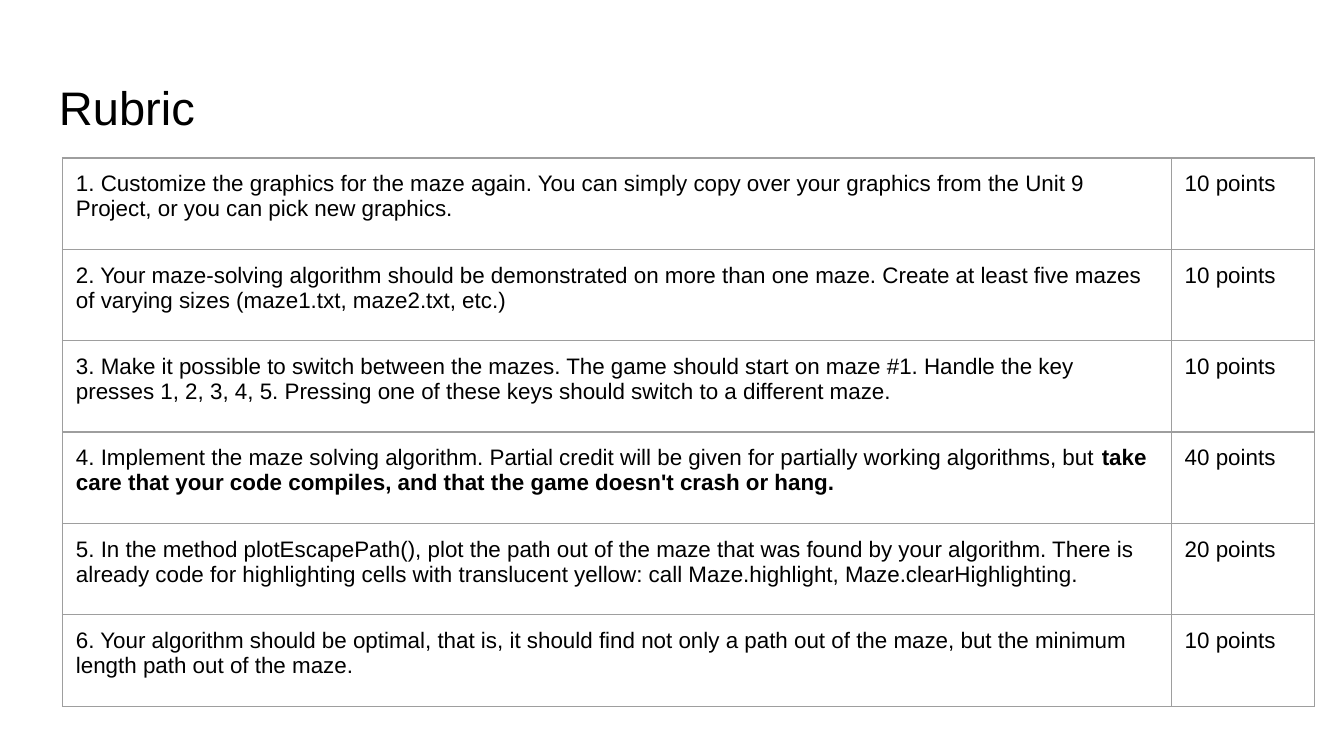
from dataclasses import dataclass

from lxml import etree
from pptx import Presentation
from pptx.dml.color import RGBColor
from pptx.enum.text import MSO_ANCHOR
from pptx.oxml.ns import qn
from pptx.util import Emu, Pt

TOP = MSO_ANCHOR.TOP
PX = 4572  # EMU per px, 200 px to the inch
PAD = 20
FONT = "Arial"
COLORS = {"text": "000000", "grid": "9E9E9E"}
COLS = (1650, 213)
ROW = 136


@dataclass(frozen=True)
class Task:
    text: str
    points: int
    strong: str = ""


TASKS = (
    Task("1. Customize the graphics for the maze again. You can simply copy over "
         "your graphics from the Unit 9 Project, or you can pick new graphics.", 10),
    Task("2. Your maze-solving algorithm should be demonstrated on more than one maze. "
         "Create at least five mazes of varying sizes (maze1.txt, maze2.txt, etc.)", 10),
    Task("3. Make it possible to switch between the mazes. The game should start on "
         "maze #1. Handle the key presses 1, 2, 3, 4, 5. Pressing one of these keys "
         "should switch to a different maze.", 10),
    Task("4. Implement the maze solving algorithm. Partial credit will be given for "
         "partially working algorithms, but ", 40,
         "take care that your code compiles, and that the game doesn't crash or hang."),
    Task("5. In the method plotEscapePath(), plot the path out of the maze that was "
         "found by your algorithm. There is already code for highlighting cells with "
         "translucent yellow: call Maze.highlight, Maze.clearHighlighting.", 20),
    Task("6. Your algorithm should be optimal, that is, it should find not only a path "
         "out of the maze, but the minimum length path out of the maze.", 10),
)


def px(size: int) -> Emu:
    return Emu(size * PX)


def write(para, text: str, *, size: float = 12, bold: bool = False,
          color: str = "text") -> None:
    run = para.add_run()
    run.text = text
    font = run.font
    font.name, font.size, font.bold = FONT, Pt(size), bold
    font.color.rgb = RGBColor.from_string(COLORS[color])


def inset(box) -> None:
    """Give a cell or text frame equal margins on all sides."""
    box.margin_left = box.margin_right = px(PAD)
    box.margin_top = box.margin_bottom = px(PAD)
    box.vertical_anchor = TOP


def frame(cell) -> None:
    """Outline a cell on its four sides, without a fill."""
    props = cell._tc.get_or_add_tcPr()
    for side in ("lnL", "lnR", "lnT", "lnB"):
        line = etree.SubElement(props, qn(f"a:{side}"), w=str(Pt(0.75)))
        fill = etree.SubElement(line, qn("a:solidFill"))
        etree.SubElement(fill, qn("a:srgbClr"), val=COLORS["grid"])
    cell.fill.background()


def add_title(slide, text: str) -> None:
    box = slide.shapes.add_textbox(px(68), px(97), px(1864), px(125)).text_frame
    box.word_wrap = True
    inset(box)
    write(box.paragraphs[0], text, size=25.2)


def add_rubric(slide, tasks: tuple[Task, ...]) -> None:
    table = slide.shapes.add_table(
        len(tasks), len(COLS), px(93), px(235),
        px(sum(COLS)), px(ROW * len(tasks))).table
    table.first_row = table.horz_banding = False
    for col, width in zip(table.columns, COLS):
        col.width = px(width)
    for row, task in zip(table.rows, tasks):
        row.height = px(ROW)
        for cell in row.cells:
            inset(cell)
            frame(cell)
        goal, score = (cell.text_frame.paragraphs[0] for cell in row.cells)
        write(goal, task.text)
        if task.strong:
            write(goal, task.strong, bold=True)
        write(score, f"{task.points} points")


def main() -> None:
    deck = Presentation()
    deck.slide_width, deck.slide_height = px(2000), px(1125)
    slide = deck.slides.add_slide(deck.slide_layouts[6])
    add_title(slide, "Rubric")
    add_rubric(slide, TASKS)
    deck.save("out.pptx")


if __name__ == "__main__":
    main()
